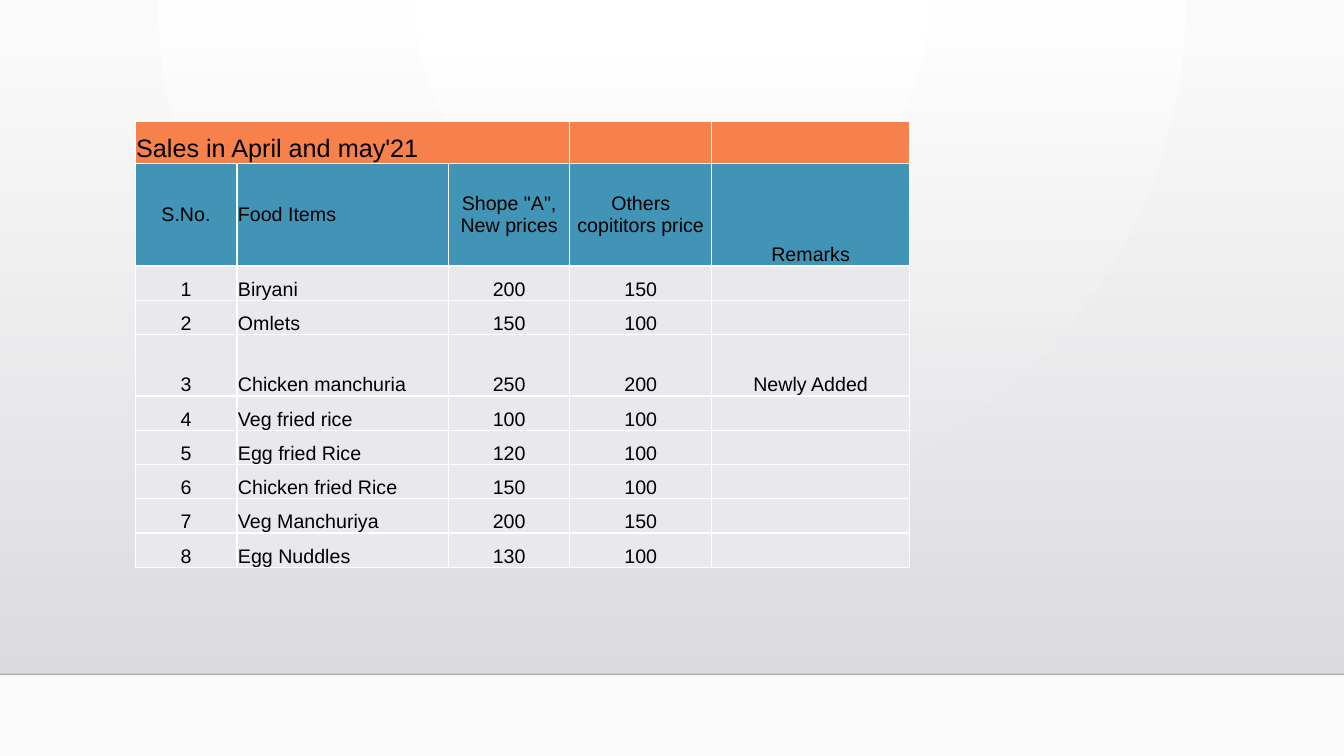
"""Build a one-slide food price table on a soft grey gradient background."""
from lxml.etree import SubElement
from pptx import Presentation
from pptx.dml.color import RGBColor
from pptx.enum.shapes import MSO_CONNECTOR as Connector, MSO_SHAPE as Shape
from pptx.enum.text import MSO_ANCHOR as Anchor, PP_ALIGN as Align
from pptx.oxml import parse_xml
from pptx.oxml.ns import nsdecls, qn
from pptx.util import Inches, Pt

TITLE = "Sales in April and may'21"
HEADERS = ["S.No.", "Food Items", 'Shope "A", New prices', "Others copititors price", "Remarks"]
ITEMS = [
    ("Biryani", 200, 150, ""),
    ("Omlets", 150, 100, ""),
    ("Chicken manchuria", 250, 200, "Newly Added"),
    ("Veg fried rice", 100, 100, ""),
    ("Egg fried Rice", 120, 100, ""),
    ("Chicken fried Rice", 150, 100, ""),
    ("Veg Manchuriya", 200, 150, ""),
    ("Egg Nuddles", 130, 100, ""),
]
COLORS = {
    "title": "F6814D", "header": "4294B6", "body": "E9E9ED",
    "border": "FFFFFF", "text": "000000", "floor": "000001",
    "glow": "FFFFFF", "backdrop": "FAFAFA", "wall_top": "DCDCE0", "wall_bottom": "DEDEE2",
}
FONT = "Arial"
WIDTH, HEIGHT = 13.33, 7.5
WALL_TOP, FLOOR = 0.51, 6.69
TABLE_LEFT, TABLE_TOP = 1.34, 1.2
COLUMN_WIDTHS = [1.01, 2.1, 1.2, 1.41, 1.96]
ROW_HEIGHTS = [0.42, 1.02] + [0.61 if remark else 0.34 for *_, remark in ITEMS]


def rgb(name):
    return RGBColor.from_string(COLORS[name])


def set_gradient(properties, stops, direction):
    """Replace a solid fill by a gradient of (position, colour, opacity) stops."""
    stop_xml = "".join(
        f'<a:gs pos="{position * 1000}"><a:srgbClr val="{COLORS[name]}">'
        f'<a:alpha val="{opacity * 1000}"/></a:srgbClr></a:gs>'
        for position, name, opacity in stops)
    gradient = parse_xml(f'<a:gradFill {nsdecls("a")} rotWithShape="1">'
                         f"<a:gsLst>{stop_xml}</a:gsLst>{direction}</a:gradFill>")
    properties.replace(properties.find(qn("a:solidFill")), gradient)


def add_background(slide):
    """Draw the radial glow, the fading wall and the floor line."""
    slide.background.fill.solid()
    set_gradient(slide.element.find(".//" + qn("p:bgPr")),
                 [(0, "glow", 100), (100, "backdrop", 100)],
                 '<a:path path="circle"><a:fillToRect l="43000" t="0" r="43000" b="100000"/></a:path>')
    wall = slide.shapes.add_shape(Shape.RECTANGLE, 0, Inches(WALL_TOP),
                                  Inches(WIDTH), Inches(FLOOR - WALL_TOP))
    wall.shadow.inherit = False
    wall.line.fill.background()
    wall.fill.solid()
    set_gradient(wall.element.spPr, [(0, "wall_top", 0), (100, "wall_bottom", 100)],
                 '<a:lin ang="5400000" scaled="0"/>')
    floor = slide.shapes.add_connector(Connector.STRAIGHT, 0, Inches(FLOOR),
                                       Inches(WIDTH), Inches(FLOOR))
    floor.line.width = Pt(1)
    floor.line.color.rgb = rgb("floor")
    color = floor.element.find(".//" + qn("a:ln")).find(".//" + qn("a:srgbClr"))
    SubElement(color, qn("a:alpha"), val="20000")
    SubElement(floor.element.spPr, qn("a:effectLst"))


def format_cell(cell, text, fill, size, align, anchor):
    """Write one cell with its fill, white borders and text."""
    cell.margin_left = cell.margin_right = cell.margin_top = Inches(0.01)
    cell.margin_bottom = 0
    cell.vertical_anchor = anchor
    cell.fill.solid()
    cell.fill.fore_color.rgb = rgb(fill)
    properties = cell._tc.get_or_add_tcPr()
    for index, side in enumerate(("lnL", "lnR", "lnT", "lnB")):
        properties.insert(index, parse_xml(
            f'<a:{side} {nsdecls("a")} w="12700"><a:solidFill>'
            f'<a:srgbClr val="{COLORS["border"]}"/></a:solidFill></a:{side}>'))
    if text:
        para = cell.text_frame.paragraphs[0]
        para.alignment = align
        span = para.add_run()
        span.text = text
        span.font.size = Pt(size)
        span.font.name = FONT
        span.font.color.rgb = rgb("text")


def add_price_table(slide):
    """Lay out the title row, the header row and the numbered items."""
    rows = [[TITLE, "", "", "", ""], HEADERS]
    rows += [[str(value) for value in (number, *item)] for number, item in enumerate(ITEMS, 1)]
    table = slide.shapes.add_table(
        len(rows), len(HEADERS), Inches(TABLE_LEFT), Inches(TABLE_TOP),
        Inches(sum(COLUMN_WIDTHS)), Inches(sum(ROW_HEIGHTS))).table
    table.first_row = table.horz_banding = False
    for column, width in zip(table.columns, COLUMN_WIDTHS):
        column.width = Inches(width)
    for row, height in zip(table.rows, ROW_HEIGHTS):
        row.height = Inches(height)
    for r, texts in enumerate(rows):
        fill = ("title", "header")[r] if r < 2 else "body"
        for c, text in enumerate(texts):
            left_aligned = r == 0 or c == 1
            centred_row = r == 1 and c < len(HEADERS) - 1
            format_cell(table.cell(r, c), text, fill, 18 if r == 0 else 14,
                        Align.LEFT if left_aligned else Align.CENTER,
                        Anchor.MIDDLE if centred_row else Anchor.BOTTOM)
    table.cell(0, 0).merge(table.cell(0, 2))


def main():
    deck = Presentation()
    deck.slide_width, deck.slide_height = Inches(WIDTH), Inches(HEIGHT)
    slide = deck.slides.add_slide(deck.slide_layouts[6])
    add_background(slide)
    add_price_table(slide)
    deck.save("out.pptx")


if __name__ == "__main__":
    main()
